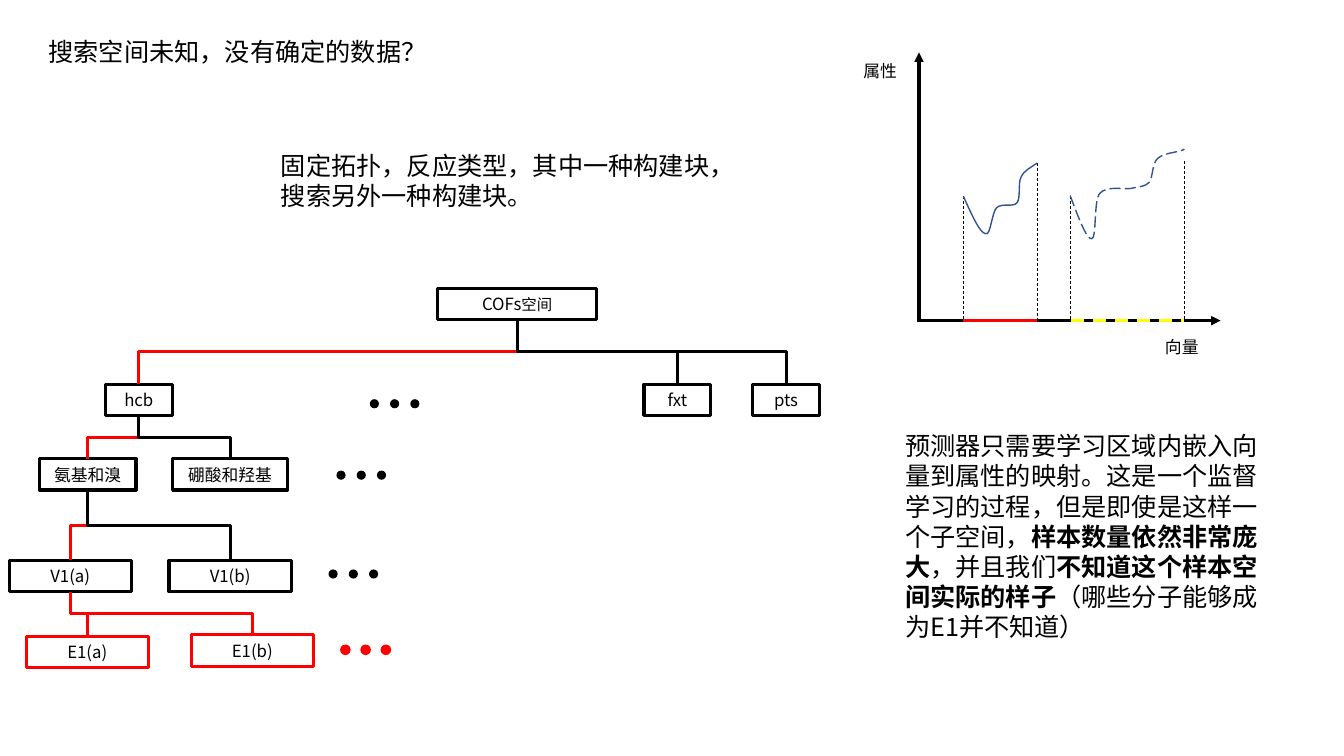
from dataclasses import dataclass

from lxml.etree import SubElement
from pptx import Presentation
from pptx.dml.color import RGBColor as RGB
from pptx.enum.dml import MSO_LINE as Dash
from pptx.enum.shapes import MSO_CONNECTOR as Link, MSO_SHAPE as Kind
from pptx.enum.text import MSO_ANCHOR as Anchor, MSO_AUTO_SIZE as Fit, PP_ALIGN as Align
from pptx.oxml.ns import qn
from pptx.util import Cm, Pt


@dataclass(frozen=True)
class Theme:
    font: str = "Noto Sans CJK SC"
    black: RGB = RGB(0, 0, 0)
    white: RGB = RGB(255, 255, 255)
    red: RGB = RGB(255, 0, 0)
    yellow: RGB = RGB(255, 255, 0)
    blue: RGB = RGB(0x32, 0x54, 0x91)
    body: float = 18
    label: float = 12
    small: float = 11
    thick: float = 2.25
    medium: float = 1
    thin: float = 0.5


T = Theme()

TITLE = ("搜索空间未知，没有确定的数据？", (0.97, 0.79, 9.6, 1.07))
TEXTS = [
    ([("固定拓扑，反应类型，其中一种构建块，搜索另外一种构建块。", False)],
     (6.83, 3.66, 12.09, 1.8), T.body),
    ([("属性", False)], (21.51, 1.4, 1.37, 0.76), T.label),
    ([("向量", False)], (29.11, 8.36, 1.37, 0.76), T.label),
    ([("预测器只需要学习区域内嵌入向量到属性的映射。这是一个监督学习的过程，但是即使是这样一个子空间，", False),
      ("样本数量依然非常庞大", True),
      ("，并且我们", False),
      ("不知道这个样本空间实际的样子", True),
      ("（哪些分子能够成为E1并不知道）", False)],
     (22.56, 10.72, 9.53, 5.64), T.body),
]

BOX_H = 0.79
BOXES = {
    "COFs空间": (11.03, 7.26, 4.01, T.black),
    "hcb": (2.66, 9.68, 1.68, T.black),
    "fxt": (16.23, 9.68, 1.68, T.black),
    "pts": (18.97, 9.68, 1.68, T.black),
    "氨基和溴": (0.99, 11.56, 2.44, T.black),
    "硼酸和羟基": (4.35, 11.56, 2.9, T.black),
    "V1(a)": (0.23, 14.12, 3.08, T.black),
    "V1(b)": (4.26, 14.12, 3.08, T.black),
    "E1(a)": (0.66, 16.03, 3.08, T.red),
    "E1(b)": (4.82, 16.0, 3.08, T.red),
}
BRANCHES = [
    ("COFs空间", "hcb", T.red),
    ("COFs空间", "fxt", T.black),
    ("COFs空间", "pts", T.black),
    ("hcb", "氨基和溴", T.red),
    ("hcb", "硼酸和羟基", T.black),
    ("氨基和溴", "V1(a)", T.red),
    ("氨基和溴", "V1(b)", T.black),
    ("V1(a)", "E1(a)", T.red),
    ("V1(a)", "E1(b)", T.red),
]

DOT, DOT_STEP = 0.23, 0.51
ELLIPSES = [(9.32, 10.06, T.black), (8.48, 11.86, T.black),
            (8.28, 14.35, T.black), (8.59, 16.26, T.red)]

AXIS_Y = 8.08
AXES = [(23.11, AXIS_Y, 30.76, AXIS_Y), (23.16, 8.1, 23.16, 1.32)]
RANGES = [(24.28, 26.14, T.red, None), (27.0, 29.85, T.yellow, Dash.DASH)]
GUIDES = [(24.28, 4.93), (26.14, 4.11), (26.97, 4.95), (29.85, 4.06)]

CURVES = [
    ([(24.28, 4.95), (24.49, 5.41), (24.69, 5.87), (24.84, 5.89),
      (24.97, 5.94), (24.99, 5.36), (25.12, 5.23), (25.27, 5.11),
      (25.53, 5.23), (25.63, 5.11), (25.73, 4.98), (25.65, 4.62),
      (25.73, 4.47), (25.81, 4.29), (25.98, 4.22), (26.14, 4.11)], None),
    ([(26.97, 4.93), (27.18, 5.49), (27.38, 6.02), (27.51, 6.02),
      (27.64, 6.02), (27.56, 5.08), (27.71, 4.88), (27.89, 4.67),
      (28.3, 4.78), (28.5, 4.75), (28.7, 4.7), (28.83, 4.72),
      (28.96, 4.6), (29.06, 4.47), (29.03, 4.11), (29.18, 3.99),
      (29.34, 3.84), (29.74, 3.84), (29.85, 3.76)], Dash.LONG_DASH),
]


def set_font(p, size):
    p.font.size = Pt(size)
    p.font.name = T.font
    p.font.color.rgb = T.black
    props = p._p.pPr.find(qn("a:defRPr"))
    SubElement(props, qn("a:ea")).set("typeface", T.font)


def set_line(s, color, width, dash=None):
    s.line.color.rgb = color
    s.line.width = Pt(width)
    if dash is not None:
        s.line.dash_style = dash


def add_text(slide, parts, place, size):
    s = slide.shapes.add_textbox(*map(Cm, place))
    tf = s.text_frame
    tf.word_wrap = True
    tf.auto_size = Fit.SHAPE_TO_FIT_TEXT
    p = tf.paragraphs[0]
    for text, bold in parts:
        r = p.add_run()
        r.text = text
        if bold:
            r.font.bold = True
    set_font(p, size)


def add_shape(slide, kind, place, fill):
    s = slide.shapes.add_shape(kind, *map(Cm, place))
    s.shadow.inherit = False
    s.fill.solid()
    s.fill.fore_color.rgb = fill
    return s


def add_box(slide, text, left, top, width, color):
    s = add_shape(slide, Kind.RECTANGLE, (left, top, width, BOX_H), T.white)
    set_line(s, color, T.thick)
    tf = s.text_frame
    tf.vertical_anchor = Anchor.MIDDLE
    p = tf.paragraphs[0]
    p.alignment = Align.CENTER
    head, space, _ = text.partition("空间")
    p.add_run().text = head
    if space:
        r = p.add_run()
        r.text = space
        r.font.size = Pt(T.small)
    set_font(p, T.label)
    return s


def add_line(slide, ends, color, width, dash=None, arrow=False):
    s = slide.shapes.add_connector(Link.STRAIGHT, *map(Cm, ends))
    set_line(s, color, width, dash)
    if arrow:
        SubElement(s.line._get_or_add_ln(), qn("a:tailEnd")).set("type", "triangle")
    SubElement(s._element.spPr, qn("a:effectLst"))


def add_branch(slide, parent, child, color):
    s = slide.shapes.add_connector(Link.ELBOW, 0, 0, 0, 0)
    s.begin_connect(parent, 2)
    s.end_connect(child, 0)
    x1, y1, x2, y2 = s.begin_x, s.begin_y, s.end_x, s.end_y
    run, drop = abs(x2 - x1), y2 - y1
    s.left, s.top = (x1 + x2 - drop) // 2, (y1 + y2 - run) // 2
    s.width, s.height = drop, run
    xfrm = s._element.spPr.find(qn("a:xfrm"))
    rightward = x2 > x1
    xfrm.set("rot", str((270 if rightward else 90) * 60000))
    xfrm.set("flipH", "1" if rightward else "0")
    set_line(s, color, T.thick)
    SubElement(s._element.spPr, qn("a:effectLst"))


def add_curve(slide, points, dash):
    start, *rest = [(Cm(x), Cm(y)) for x, y in points]
    builder = slide.shapes.build_freeform(*start)
    builder.add_line_segments(rest, close=False)
    s = builder.convert_to_shape()
    s.shadow.inherit = False
    s.fill.background()
    set_line(s, T.blue, T.medium, dash)
    steps = list(s._element.iter(qn("a:lnTo")))
    for first, second, third in zip(*[iter(steps)] * 3):
        bezier = SubElement(first.getparent(), qn("a:cubicBezTo"))
        for step in (first, second, third):
            bezier.append(step[0])
            step.getparent().remove(step)


def main():
    prs = Presentation()
    prs.slide_width, prs.slide_height = Cm(33.87), Cm(19.05)
    slide = prs.slides.add_slide(prs.slide_layouts[5])

    text, place = TITLE
    title = slide.shapes.title
    title.left, title.top, title.width, title.height = map(Cm, place)
    tf = title.text_frame
    tf.text = text
    tf.word_wrap = False
    tf.auto_size = Fit.NONE
    tf.vertical_anchor = Anchor.TOP
    tf.paragraphs[0].alignment = Align.LEFT
    set_font(tf.paragraphs[0], T.body)

    for item in TEXTS:
        add_text(slide, *item)
    boxes = {name: add_box(slide, name, *item) for name, item in BOXES.items()}
    for parent, child, color in BRANCHES:
        add_branch(slide, boxes[parent], boxes[child], color)
    for left, top, color in ELLIPSES:
        for i in range(3):
            s = add_shape(slide, Kind.OVAL, (left + i * DOT_STEP, top, DOT, DOT), color)
            if color == T.red:
                set_line(s, color, T.medium)
            else:
                s.line.fill.background()

    for ends in AXES:
        add_line(slide, ends, T.black, T.thick, arrow=True)
    for x1, x2, color, dash in RANGES:
        add_line(slide, (x1, AXIS_Y, x2, AXIS_Y), color, T.thick, dash)
    for x, top in GUIDES:
        add_line(slide, (x, top, x, AXIS_Y), T.black, T.thin, Dash.DASH)
    for points, dash in CURVES:
        add_curve(slide, points, dash)
    prs.save("out.pptx")


if __name__ == "__main__":
    main()
